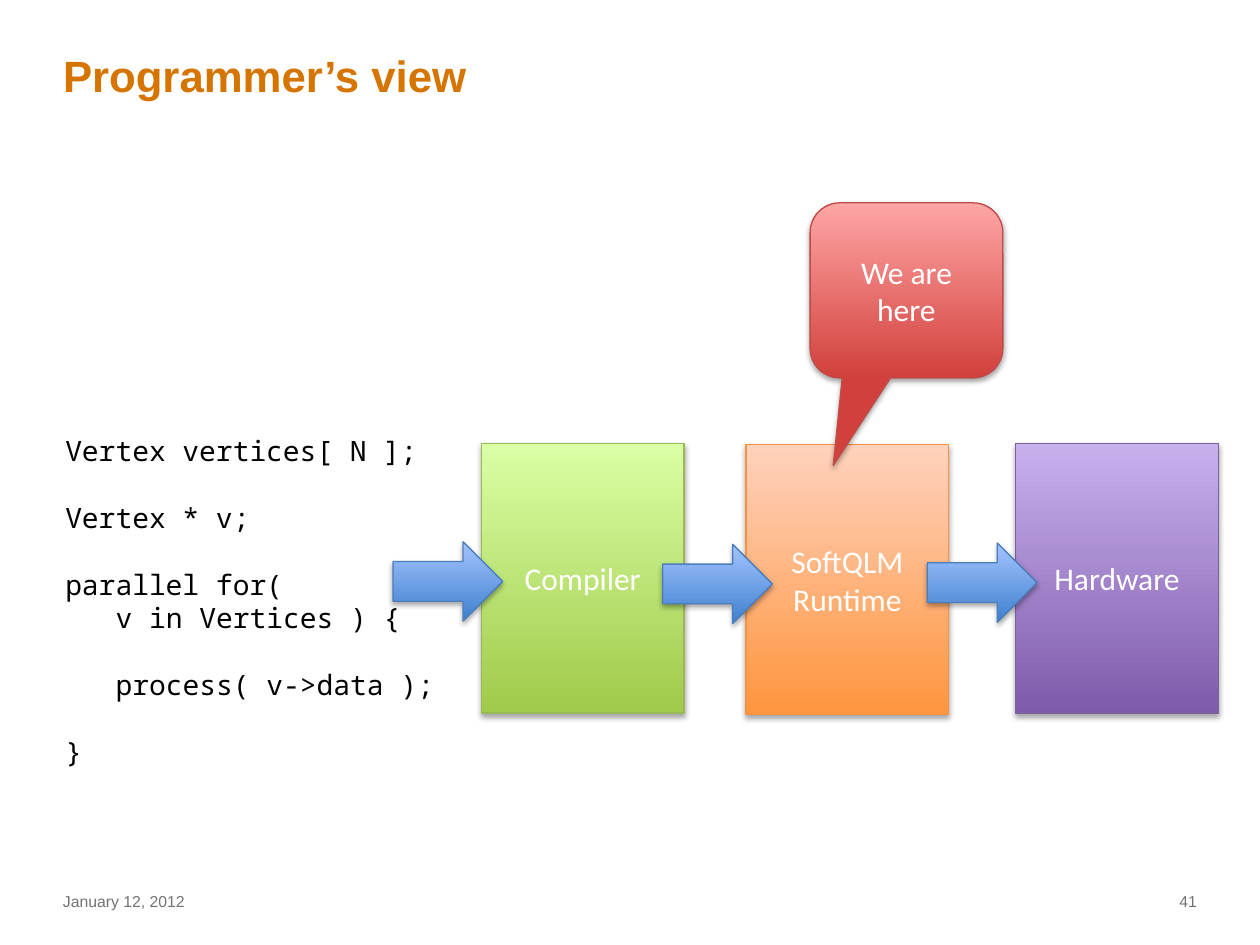
from lxml import etree
from pptx import Presentation
from pptx.dml.color import RGBColor
from pptx.enum.shapes import MSO_SHAPE as Shape
from pptx.enum.text import MSO_ANCHOR as Anchor, PP_ALIGN as Align
from pptx.oxml import parse_xml
from pptx.oxml.ns import nsdecls, qn
from pptx.util import Inches, Pt

ORANGE = RGBColor(0xD5, 0x75, 0x00)
GRAY = RGBColor(0x70, 0x72, 0x76)
BLACK = RGBColor(0x00, 0x00, 0x00)
WHITE = RGBColor(0xFF, 0xFF, 0xFF)

# Each palette is bottom colour, top colour, outline
GREENS = RGBColor(0xA0, 0xCA, 0x4A), RGBColor(0xDA, 0xFF, 0xA5), RGBColor(0x98, 0xB9, 0x55)
ORANGES = RGBColor(0xFF, 0x95, 0x3E), RGBColor(0xFF, 0xD2, 0xBD), RGBColor(0xF6, 0x92, 0x40)
PURPLES = RGBColor(0x7F, 0x5B, 0xAB), RGBColor(0xC8, 0xB0, 0xED), RGBColor(0x7D, 0x60, 0xA0)
BLUES = RGBColor(0x3F, 0x80, 0xCE), RGBColor(0xA4, 0xC4, 0xFF), RGBColor(0x4B, 0x7E, 0xBC)
REDS = RGBColor(0xD1, 0x40, 0x3C), RGBColor(0xFF, 0xA6, 0xA5), RGBColor(0xBF, 0x4C, 0x48)

SHADOW = (
    f'<a:outerShdw {nsdecls("a")} blurRad="40000" dist="23000" dir="5400000" rotWithShape="0">'
    '<a:srgbClr val="000000"><a:alpha val="35000"/></a:srgbClr></a:outerShdw>'
)


def write(para, text, color, align=Align.LEFT, **font_format):
    para.alignment = align
    span = para.add_run()
    span.text = text
    span.font.color.rgb = color
    for name, value in font_format.items():
        setattr(span.font, name, value)


def add_block(kind, left, top, width, height, palette, label=""):
    block = page.shapes.add_shape(kind, Inches(left), Inches(top), Inches(width), Inches(height))
    bottom, upper, outline = palette
    block.fill.gradient()
    block.fill.gradient_angle = 90
    for stop, color in zip(block.fill.gradient_stops, (bottom, upper)):
        stop.color.rgb = color
    block.line.color.rgb = outline
    block.line.width = Pt(0.75)
    block.shadow.inherit = False
    block.element.spPr.find(qn("a:effectLst")).append(parse_xml(SHADOW))
    if label:
        frame = block.text_frame
        frame.vertical_anchor = Anchor.MIDDLE
        write(frame.paragraphs[0], label, WHITE, Align.CENTER, name="Calibri", size=Pt(18))
    return block


deck = Presentation()
deck.slide_width, deck.slide_height = Inches(10), Inches(7.5)
page = deck.slides.add_slide(deck.slide_layouts[5])
NO_MARGINS = dict.fromkeys(("margin_left", "margin_top", "margin_right", "margin_bottom"), 0)

# Title
title = page.shapes.title
title.left, title.top, title.width, title.height = map(Inches, (0.5, 0.39, 7.25, 0.42))
for name, value in {**NO_MARGINS, "vertical_anchor": Anchor.TOP}.items():
    setattr(title.text_frame, name, value)
write(title.text_frame.paragraphs[0], "Programmer’s view", ORANGE,
      name="Arial", size=Pt(25), bold=True)

# Footer: date and page number
for left, text, align in ((0.5, "January 12, 2012", Align.LEFT), (7.17, "41", Align.RIGHT)):
    box = page.shapes.add_textbox(Inches(left), Inches(6.95), Inches(2.33), Inches(0.4))
    for name, value in {**NO_MARGINS, "vertical_anchor": Anchor.MIDDLE, "word_wrap": True}.items():
        setattr(box.text_frame, name, value)
    write(box.text_frame.paragraphs[0], text, GRAY, align, name="Arial", size=Pt(9))

# Code listing: text, indented, gap above
CODE = (
    ("Vertex vertices[ N ];", False, False),
    ("Vertex * v;", False, True),
    ("parallel for(", False, True),
    ("v in Vertices ) {", True, False),
    ("process( v->data );", True, True),
    ("}", False, True),
)
LINE_HEIGHT = Pt(19.15)
listing = page.shapes.add_textbox(Inches(0.42), Inches(3.39), Inches(3.66), Inches(2.79))
listing.text_frame.word_wrap = True
for number, (text, indented, gap) in enumerate(CODE):
    frame = listing.text_frame
    para = frame.add_paragraph() if number else frame.paragraphs[0]
    para.line_spacing = LINE_HEIGHT
    para.space_before = LINE_HEIGHT if gap else Pt(0)
    write(para, text, BLACK, name="Noto Sans Mono", size=Pt(16))
    if indented:
        para._p.get_or_add_pPr().set("marL", str(Inches(0.4)))

# Stages of the toolchain
for left, top, palette, label in (
    (3.82, 3.52, GREENS, "Compiler"),
    (5.92, 3.53, ORANGES, "SoftQLM Runtime"),
    (8.06, 3.52, PURPLES, "Hardware"),
):
    add_block(Shape.RECTANGLE, left, top, 1.61, 2.14, palette, label)

# Arrows leading into each stage
for left, top in ((3.12, 4.3), (5.26, 4.32), (7.36, 4.31)):
    add_block(Shape.RIGHT_ARROW, left, top, 0.87, 0.63, BLUES)

# Callout pointing at the runtime
callout = add_block(Shape.ROUNDED_RECTANGULAR_CALLOUT, 6.43, 1.61, 1.53, 1.39, REDS, "We are here")
for index, value in enumerate((-0.38, 1.0, 0.17)):
    callout.adjustments[index] = value

deck.save("out.pptx")
